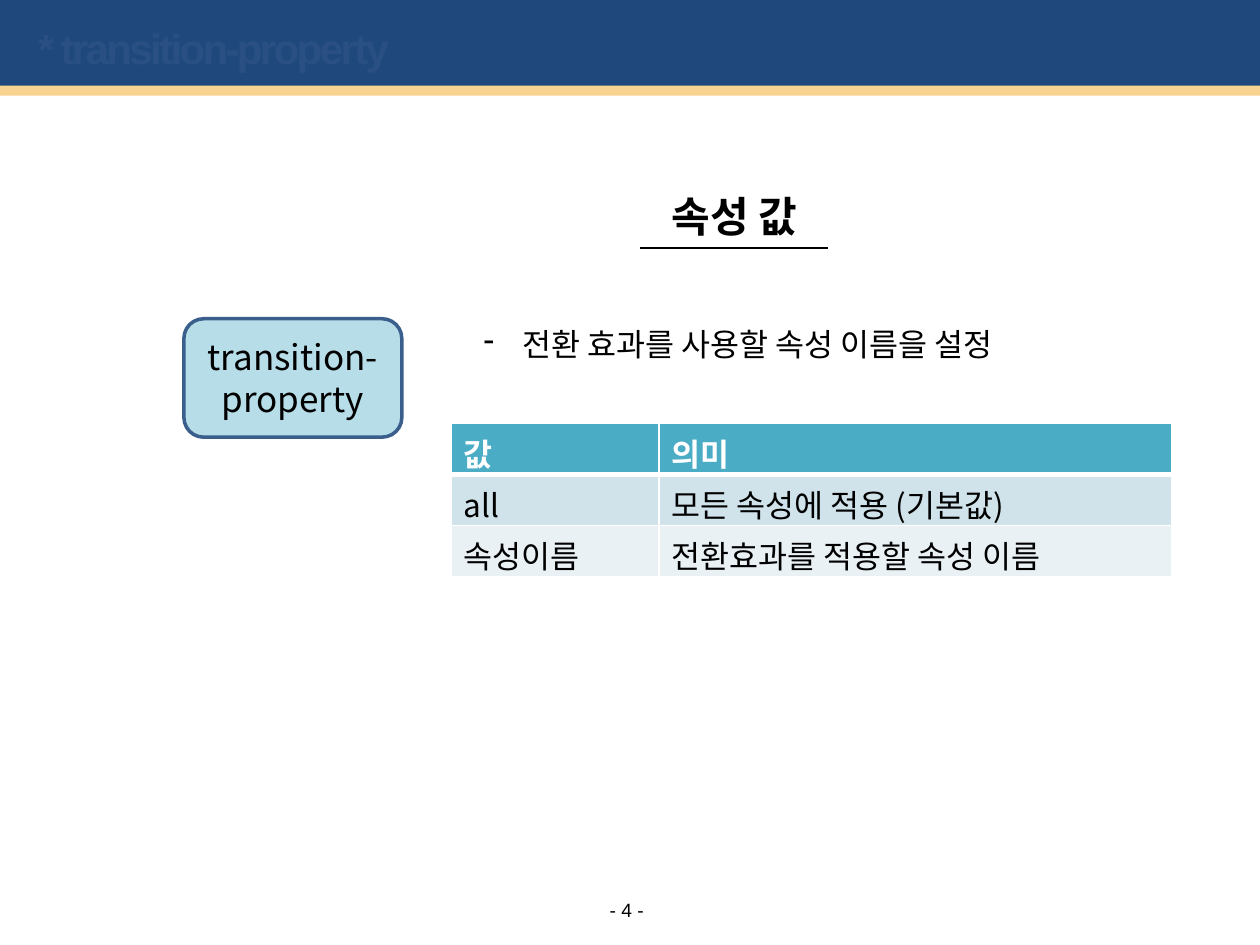
from lxml import etree
from pptx import Presentation
from pptx import util as u
from pptx.dml.color import RGBColor
from pptx.enum import shapes, text
from pptx.oxml import ns

COLORS = {
    "navy": "1F497D", "title": "2A5083", "sand": "F9D490",
    "sky": "B7DEE8", "outline": "3A5F8C", "header": "4BACC6",
    "band": "D0E3EA", "pale": "E9F1F5", "black": "000000", "white": "FFFFFF",
}
KOREAN = "Noto Sans CJK KR"


def color(name):
    return RGBColor.from_string(COLORS[name])


def child(parent, tag, **attributes):
    return etree.SubElement(parent, ns.qn(tag), attributes)


class SlideBuilder:
    def __init__(self, slide):
        self.slide = slide
        self.style = {"name": KOREAN, "size": u.Pt(18), "bold": False}

    def box(self, *lengths):
        return [u.Inches(length) for length in lengths]

    def put_text(self, frame, words, ink="black", align=text.PP_ALIGN.LEFT, **changes):
        paragraph = frame.paragraphs[0]
        paragraph.alignment = align
        run = paragraph.add_run()
        run.text = words
        for key, value in {**self.style, **changes}.items():
            setattr(run.font, key, value)
        run.font.color.rgb = color(ink)
        properties = run._r.get_or_add_rPr()
        child(properties, "a:ea", typeface=run.font.name)
        return paragraph, properties

    def shape(self, kind, area, fill, outline=None):
        shape = self.slide.shapes.add_shape(kind, *self.box(*area))
        shape.shadow.inherit = False
        shape.fill.solid()
        shape.fill.fore_color.rgb = color(fill)
        if outline:
            shape.line.color.rgb = color(outline)
            shape.line.width = u.Pt(2)
        else:
            shape.line.fill.background()
        shape.text_frame.vertical_anchor = text.MSO_ANCHOR.MIDDLE
        return shape

    def title(self, words, area):
        title = self.slide.shapes.title
        title.left, title.top, title.width, title.height = self.box(*area)
        title.element.getparent().append(title.element)
        frame = title.text_frame
        frame.vertical_anchor = text.MSO_ANCHOR.MIDDLE
        frame.margin_left = frame.margin_right = 0
        _, properties = self.put_text(frame, words, "title", name="Arial",
                                      size=u.Pt(24), bold=True)
        properties.set("spc", "-150")

    def label(self, words, area, margins=None, wrap=True, **format_values):
        frame = self.slide.shapes.add_textbox(*self.box(*area)).text_frame
        frame.word_wrap = wrap
        if margins is not None:
            for side in ("left", "top", "right", "bottom"):
                setattr(frame, f"margin_{side}", margins)
        return self.put_text(frame, words, **format_values)[0]

    def bullet(self, words, area):
        properties = self.label(words, area)._p.get_or_add_pPr()
        indent = u.Inches(0.31)
        properties.set("marL", str(indent))
        properties.set("indent", str(-indent))
        child(properties, "a:buFontTx")
        child(properties, "a:buChar", char="-")

    def line(self, start, end):
        line = self.slide.shapes.add_connector(
            shapes.MSO_CONNECTOR.STRAIGHT, *self.box(*start, *end))
        line.line.color.rgb = color("black")
        line.line.width = u.Pt(1.5)
        child(line._element.spPr, "a:effectLst")

    def border(self, cell, side, points):
        edge = child(cell._tc.get_or_add_tcPr(), f"a:{side}", w=str(u.Pt(points)))
        child(child(edge, "a:solidFill"), "a:srgbClr", val=COLORS["white"])

    def table(self, rows, area, widths, fills):
        table = self.slide.shapes.add_table(
            len(rows), len(widths), *self.box(*area)).table
        for column, width in zip(table.columns, widths):
            column.width = u.Inches(width)
        for r, (row, fill) in enumerate(zip(rows, fills)):
            heading = r == 0
            for c, words in enumerate(row):
                cell = table.cell(r, c)
                self.put_text(cell.text_frame, words,
                              "white" if heading else "black", bold=heading)
                thickness = {"lnL": 1, "lnR": 1, "lnT": 3 if r == 1 else 1,
                             "lnB": 3 if heading else 1}
                for side, points in thickness.items():
                    self.border(cell, side, points)
                cell.fill.solid()
                cell.fill.fore_color.rgb = color(fill)


def main():
    deck = Presentation()
    deck.slide_width, deck.slide_height = u.Inches(10), u.Inches(7.5)
    page = SlideBuilder(deck.slides.add_slide(deck.slide_layouts[5]))
    center = text.PP_ALIGN.CENTER

    page.shape(shapes.MSO_SHAPE.RECTANGLE, (0, -0.03, 10, 0.76), "navy")
    page.shape(shapes.MSO_SHAPE.RECTANGLE, (0, 0.68, 10, 0.08), "sand")
    page.title("* transition-property", (0.3, 0.08, 9, 0.6))
    page.label("- 4 -", (4.76, 7.13, 0.43, 0.19), margins=0, wrap=False,
               align=center, name="Arial", size=u.Pt(11))

    keyword = page.shape(shapes.MSO_SHAPE.ROUNDED_RECTANGLE,
                         (1.46, 2.53, 1.73, 0.94), "sky", "outline")
    page.put_text(keyword.text_frame, "transition-property", align=center,
                  size=u.Pt(20))
    page.label("속성 값", (3.9, 1.46, 3.86, 0.5), align=center,
               size=u.Pt(24), bold=True)
    page.line((5.08, 1.97), (6.57, 1.97))
    page.bullet("전환 효과를 사용할 속성 이름을 설정", (3.74, 2.53, 4.88, 0.4))
    page.table(
        [("값", "의미"),
         ("all", "모든 속성에 적용 (기본값)"),
         ("속성이름", "전환효과를 적용할 속성 이름")],
        (3.58, 3.36, 5.72, 1.22), (1.65, 4.07), ("header", "band", "pale"))

    deck.save("out.pptx")


if __name__ == "__main__":
    main()
